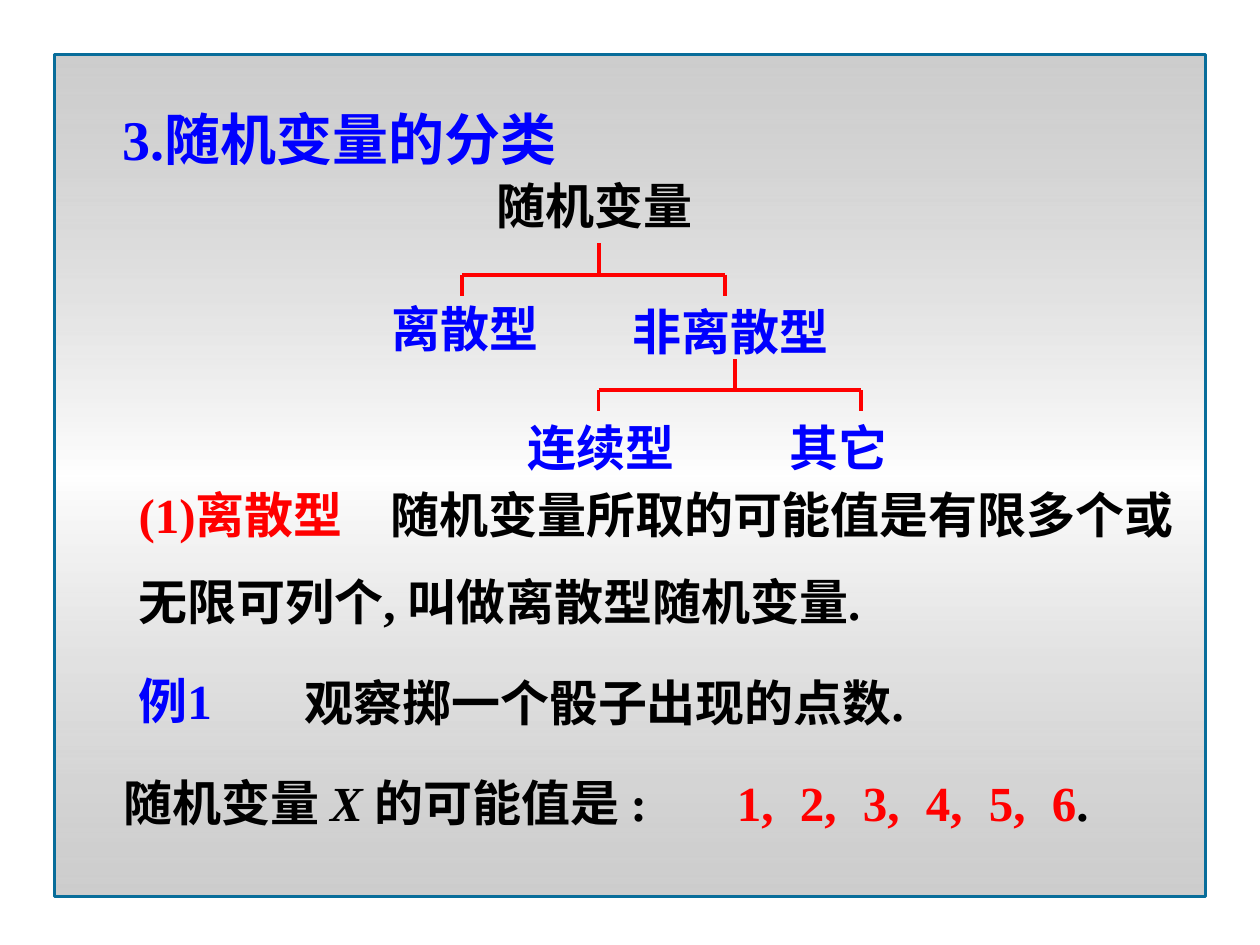
from lxml.etree import SubElement
from pptx import Presentation
from pptx.dml.color import RGBColor
from pptx.enum.shapes import MSO_CONNECTOR, MSO_SHAPE
from pptx.enum.text import MSO_ANCHOR, MSO_AUTO_SIZE, PP_ALIGN
from pptx.oxml.ns import qn
from pptx.util import Pt

BLUE = RGBColor(0x00, 0x00, 0xFF)
RED = RGBColor(0xFF, 0x00, 0x00)
BLACK = RGBColor(0x00, 0x00, 0x00)
FRAME_LINE = RGBColor(0x08, 0x6D, 0x9A)
GRADIENT_STOPS = [(0, "A7A7A7", 56), (50, "FFFFFF", 89), (100, "A7A7A7", 56)]
LATIN = "Times New Roman"
CHINESE = "Noto Sans CJK SC"


def place(shape, box):
    """Move a shape to a box of left, top, width and height in points."""
    shape.left, shape.top, shape.width, shape.height = [Pt(value) for value in box]


def prepare_frame(shape, wrap):
    """Give a text shape a top anchor, a fixed size and the chosen wrapping."""
    frame = shape.text_frame
    frame.auto_size = MSO_AUTO_SIZE.NONE
    frame.vertical_anchor = MSO_ANCHOR.TOP
    frame.word_wrap = wrap
    return frame


def format_paragraph(paragraph, tabs=()):
    """Left-align a paragraph without bullet or indent, with tab stops in points."""
    properties = paragraph._p.get_or_add_pPr()
    properties.set("marL", "0")
    properties.set("indent", "0")
    SubElement(properties, qn("a:buNone"))
    if tabs:
        tab_list = SubElement(properties, qn("a:tabLst"))
        for position in tabs:
            SubElement(tab_list, qn("a:tab"), pos=str(Pt(position)), algn="l")
    paragraph.alignment = PP_ALIGN.LEFT
    paragraph.space_before = Pt(0)


def add_run(paragraph, text, color, size=28, name=LATIN, italic=False):
    """Add one bold run to a paragraph."""
    run = paragraph.add_run()
    run.text = text
    font = run.font
    font.size, font.name, font.bold, font.italic = Pt(size), name, True, italic
    font.color.rgb = color
    SubElement(run._r.get_or_add_rPr(), qn("a:ea"), typeface=CHINESE)


def add_label(slide, box, runs, wrap=False, tabs=()):
    """Add a one-line text box made of (text, color, italic) runs."""
    shape = slide.shapes.add_textbox(*[Pt(value) for value in box])
    paragraph = prepare_frame(shape, wrap).paragraphs[0]
    format_paragraph(paragraph, tabs)
    for text, color, italic in runs:
        add_run(paragraph, text, color, italic=italic)


def add_background(slide, box):
    """Add the framed gradient panel behind everything else."""
    panel = slide.shapes.add_shape(MSO_SHAPE.RECTANGLE, *[Pt(value) for value in box])
    panel.shadow.inherit = False
    panel.line.color.rgb = FRAME_LINE
    panel.line.width = Pt(1.5)
    panel.fill.gradient()
    panel.fill.gradient_angle = 270
    stops = panel.element.spPr.find(qn("a:gradFill")).find(qn("a:gsLst"))
    for stop in list(stops):
        stops.remove(stop)
    for position, color, alpha in GRADIENT_STOPS:
        stop = SubElement(stops, qn("a:gs"), pos=str(position * 1000))
        tone = SubElement(stop, qn("a:srgbClr"), val=color)
        SubElement(tone, qn("a:alpha"), val=str(alpha * 1000))
    panel.element.getparent().insert(2, panel.element)


def fill_title(slide, box):
    """Fill the title placeholder."""
    title = slide.shapes.title
    place(title, box)
    paragraph = prepare_frame(title, True).paragraphs[0]
    format_paragraph(paragraph)
    add_run(paragraph, "3.", BLUE, 32)
    add_run(paragraph, "随机变量的分类", BLUE, 32, CHINESE)


def fill_definition(slide, box):
    """Fill the body placeholder with the definition of the discrete type."""
    body = slide.placeholders[1]
    place(body, box)
    frame = prepare_frame(body, True)
    first, second = frame.paragraphs[0], frame.add_paragraph()
    for paragraph in (first, second):
        format_paragraph(paragraph, [128.8])
        paragraph.line_spacing = 0.95
    second.space_before = Pt(17.5)
    add_run(first, "(1)", RED)
    add_run(first, "离散型", RED, name=CHINESE)
    add_run(first, "\t随机变量所取的可能值是有限多个或", BLACK, name=CHINESE)
    add_run(second, "无限可列个", BLACK, name=CHINESE)
    add_run(second, ", ", BLACK)
    add_run(second, "叫做离散型随机变量", BLACK, name=CHINESE)
    add_run(second, ".", BLACK)


def add_bracket(slide, box):
    """Add a branching bracket: a bar, two drops and a stem from the parent."""
    left, top, width, height = box
    right, bottom, bar = left + width, top + height, top + 18
    stem = left + width * 0.52
    lines = [(left, bar, right, bar), (left, bar, left, bottom),
             (right, bar, right, bottom), (stem, bar, stem, top)]
    for ends in lines:
        line = slide.shapes.add_connector(MSO_CONNECTOR.STRAIGHT, *[Pt(value) for value in ends])
        line.line.color.rgb = RED
        line.line.width = Pt(2.25)
        SubElement(line.element.spPr, qn("a:effectLst"))


def add_tree(slide, box):
    """Add the classification tree of random variables."""
    left, top = box[:2]
    labels = [
        ("随机变量", 59.8, 0, 126, BLACK),
        ("离散型", 0, 70.5, 98, BLUE),
        ("非离散型", 137.5, 72, 126, BLUE),
        ("连续型", 77.8, 138.5, 98, BLUE),
        ("其它", 227.5, 138.5, 70, BLUE),
    ]
    for text, across, down, width, color in labels:
        add_label(slide, (left + across, top + down, width, 41), [(text, color, False)])
    for across, down in ((47.5, 42.5), (125.3, 108.5)):
        add_bracket(slide, (left + across, top + down, 150, 30))


def add_example(slide, box):
    """Add the dice example and its possible values."""
    left, top = box[:2]
    add_label(slide, (left + 8.6, top, 96, 41), [("例1", BLUE, False)])
    add_label(slide, (left + 103.5, top + 1.4, 363, 41),
              [("观察掷一个骰子出现的点数.", BLACK, False)])
    add_label(slide, (left, top + 58.4, 333.4, 41),
              [("随机变量 ", BLACK, False), ("X ", BLACK, True), ("的可能值是 :", BLACK, False)])
    add_label(slide, (left + 350.6, top + 58.4, 225, 41),
              [("1,\t2,\t3,\t4,\t5,\t6", RED, False), (".", BLACK, False)],
              wrap=True, tabs=[34 * step for step in range(1, 6)])


def main():
    """Build and save the slide."""
    presentation = Presentation()
    presentation.slide_width, presentation.slide_height = Pt(720), Pt(540)
    slide = presentation.slides.add_slide(presentation.slide_layouts[1])
    add_background(slide, (31, 31, 658, 481.5))
    fill_title(slide, (62.6, 56.2, 300, 46))
    fill_definition(slide, (72, 275.8, 635.8, 88.6))
    add_tree(slide, (216.7, 96.5, 297.5, 179.5))
    add_example(slide, (63.4, 379.4, 575.6, 99.4))
    presentation.save("out.pptx")


if __name__ == "__main__":
    main()
